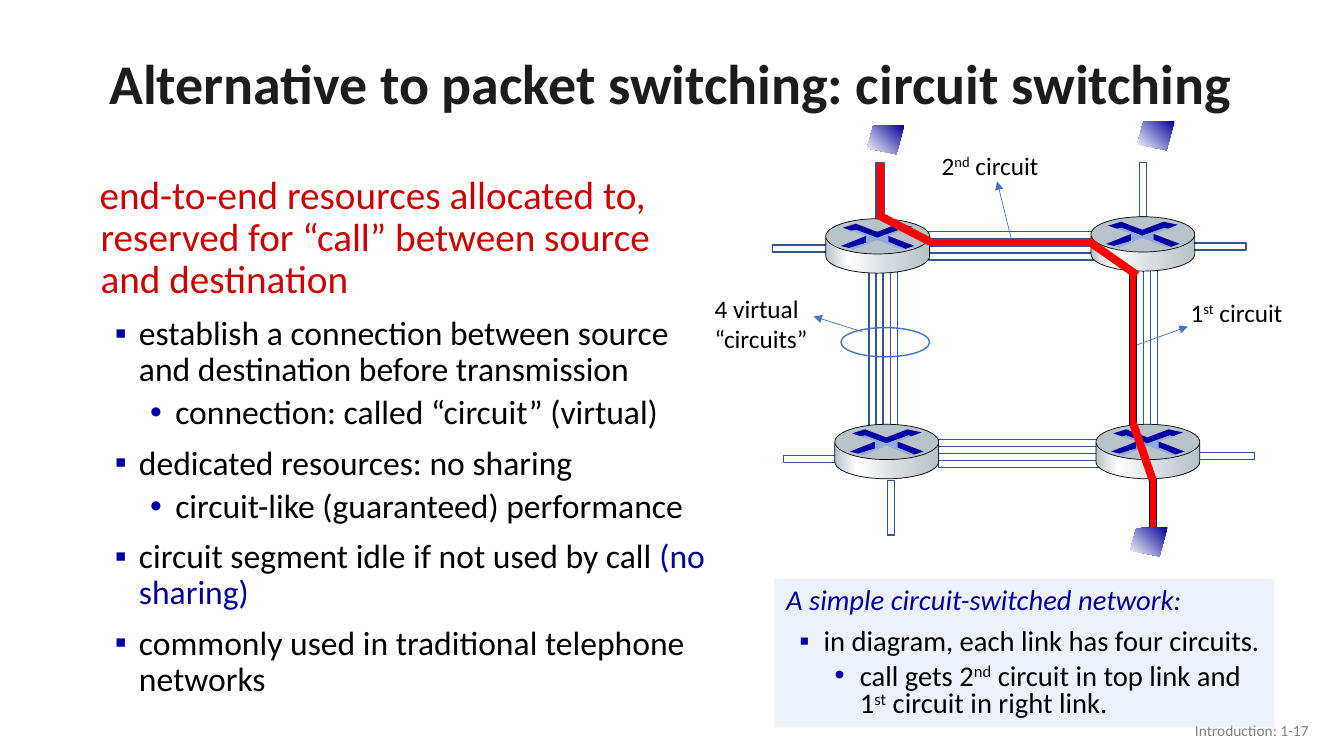
from math import cos, pi, sin

from lxml.etree import SubElement
from pptx import Presentation
from pptx.dml.color import RGBColor
from pptx.enum.shapes import MSO_CONNECTOR, MSO_SHAPE
from pptx.enum.text import MSO_ANCHOR, PP_ALIGN
from pptx.oxml import parse_xml
from pptx.oxml.ns import nsdecls, qn
from pptx.util import Cm, Pt

FONT = "Calibri"
RED, NAVY, BLACK = "FF0000", "0000A3", "000000"
LINK, ACCENT = "325491", "4472C4"
SQUARE, DOT = ("▪", NAVY), ("•", "0000A8")
PITCH = 0.07

ROUTER_W, ROUTER_H = 1.03, 0.35
ROUTERS = [(8.19, 2.17), (8.28, 4.21), (10.87, 4.21), (10.82, 2.15)]
ROUTER_STOPS = [(0, "B8C2C9"), (21, "FFFFFF"), (60, "D6DCE0"), (100, "B8C2C9")]
SIDE = [(0, 0.19)] + [
    (ROUTER_W / 2 * (1 - cos(pi * i / 24)), 0.37 + 0.17 * sin(pi * i / 24))
    for i in range(25)] + [(ROUTER_W, 0.19)]
CROSS = [
    (NAVY, [(0.72, 0.05), (0.86, 0.08), (0.76, 0.12), (0.73, 0.11), (0.51, 0.19),
            (0.3, 0.11), (0.26, 0.12), (0.17, 0.09), (0.3, 0.05), (0.51, 0.13)]),
    (NAVY, [(0.62, 0.17), (0.88, 0.27), (0.79, 0.3), (0.62, 0.23)]),
    ("0000A8", [(0.4, 0.17), (0.4, 0.24), (0.23, 0.29), (0.15, 0.27)]),
    ("8FAADC", [(0.26, 0.12), (0.3, 0.11), (0.51, 0.19), (0.73, 0.11), (0.76, 0.12),
                (0.62, 0.17), (0.62, 0.23), (0.79, 0.3), (0.74, 0.3), (0.51, 0.21),
                (0.27, 0.31), (0.24, 0.29), (0.4, 0.24), (0.4, 0.17)]),
]
HOSTS = [(11.28, 1.2), (11.21, 5.23), (8.6, 1.24)]
HOST = [(0.37, 0), (0.06, 0.01), (0, 0.23), (0.29, 0.29)]
H_STUBS = [(7.77, 4.52), (11.9, 4.49), (7.66, 2.43), (11.82, 2.41)]
V_STUBS = [(8.8, 4.77), (11.3, 1.61)]


def inch(v):
    return Cm(2.54 * v)


def rgb(hex_):
    return RGBColor.from_string(hex_)


def paint(shape, fill=None, line=None, width=1):
    shape.shadow.inherit = False
    if fill:
        shape.fill.solid()
        shape.fill.fore_color.rgb = rgb(fill)
    else:
        shape.fill.background()
    if line:
        shape.line.color.rgb = rgb(line)
        shape.line.width = Pt(width)
    else:
        shape.line.fill.background()
    return shape


def paint_gradient(shape, stops, angle):
    shape.fill.gradient()
    gs = "".join(f'<a:gs pos="{pos * 1000}"><a:srgbClr val="{c}"/></a:gs>'
                 for pos, c in stops)
    spPr = shape._element.spPr
    spPr.replace(spPr.find(qn("a:gradFill")), parse_xml(
        f'<a:gradFill {nsdecls("a")} rotWithShape="1"><a:gsLst>{gs}</a:gsLst>'
        f'<a:lin ang="{angle * 60000}" scaled="0"/></a:gradFill>'))


def add_preset(s, kind, x, y, w, h, rot=0, **look):
    shape = s.shapes.add_shape(kind, inch(x), inch(y), inch(w), inch(h))
    shape.rotation = rot
    return paint(shape, **look)


def add_bar(s, x, y, w, h, fill=None, line=LINK, rot=0):
    return add_preset(s, MSO_SHAPE.RECTANGLE, x, y, w, h, rot, fill=fill, line=line)


def add_outline(s, x, y, points, **look):
    pts = [(inch(x + dx), inch(y + dy)) for dx, dy in points]
    builder = s.shapes.build_freeform(*pts[0])
    builder.add_line_segments(pts[1:], close=True)
    return paint(builder.convert_to_shape(), **look)


def add_router(s, x, y):
    side = add_outline(s, x, y, SIDE, line=BLACK, width=0.5)
    paint_gradient(side, ROUTER_STOPS, 0)
    add_preset(s, MSO_SHAPE.OVAL, x, y, ROUTER_W, ROUTER_H,
               fill="B8C2C9", line=BLACK, width=0.5)
    for color, points in CROSS:
        add_outline(s, x, y, points, fill=color)


def add_host(s, x, y):
    paint_gradient(add_outline(s, x, y, HOST), [(0, "000099"), (100, "FFFFFF")], 135)


def add_arrow(s, x1, y1, x2, y2):
    c = s.shapes.add_connector(MSO_CONNECTOR.STRAIGHT,
                               inch(x1), inch(y1), inch(x2), inch(y2))
    c.line.color.rgb = rgb(ACCENT)
    c.line.width = Pt(0.5)
    SubElement(c.line._get_or_add_ln(), qn("a:tailEnd"), type="triangle")
    SubElement(c._element.spPr, qn("a:effectLst"))


def add_run(p, text, size=18, color=BLACK, bold=False, italic=False, sup=False):
    r = p.add_run()
    r.text = text
    f = r.font
    f.name, f.size, f.bold, f.italic = FONT, Pt(size), bold, italic
    f.color.rgb = rgb(color)
    if sup:
        r._r.get_or_add_rPr().set("baseline", "30000")


def add_ordinal(p, number, suffix, rest, **fmt):
    add_run(p, number, **fmt)
    add_run(p, suffix, sup=True, **fmt)
    add_run(p, rest, **fmt)


def add_text_box(s, x, y, w, h, anchor=MSO_ANCHOR.TOP):
    tf = s.shapes.add_textbox(inch(x), inch(y), inch(w), inch(h)).text_frame
    tf.word_wrap = True
    tf.vertical_anchor = anchor
    return tf


def add_paragraph(tf, left, hanging, spacing, before=0, bullet=None):
    p = tf.add_paragraph() if before else tf.paragraphs[0]
    p.line_spacing = spacing
    p.space_before = Pt(before)
    pPr = p._p.get_or_add_pPr()
    pPr.set("marL", str(inch(left)))
    pPr.set("indent", str(-inch(hanging)))
    if bullet:
        char, color = bullet
        SubElement(SubElement(pPr, qn("a:buClr")), qn("a:srgbClr"), val=color)
        SubElement(pPr, qn("a:buFont"), typeface="Arial")
        SubElement(pPr, qn("a:buChar"), char=char)
    return p


def add_item(tf, spacing):
    return add_paragraph(tf, 0.39, 0.24, spacing, 10, SQUARE)


def add_subitem(tf, spacing):
    return add_paragraph(tf, 0.75, 0.25, spacing, 5, DOT)


def add_body(s):
    tf = add_text_box(s, 0.89, 1.69, 6.23, 5.5)
    add_run(add_paragraph(tf, 0.01, 0.01, 0.9),
            "end-to-end resources allocated to, reserved for “call” between source "
            "and destination", size=28, color="CC0000")
    for add, text, note in [
        (add_item, "establish a connection between source and destination before "
                   "transmission", ""),
        (add_subitem, "connection: called “circuit” (virtual)", ""),
        (add_item, "dedicated resources: no sharing", ""),
        (add_subitem, "circuit-like (guaranteed) performance", ""),
        (add_item, "circuit segment idle if not used by call ", "(no sharing)"),
        (add_item, "commonly used in traditional telephone networks", ""),
    ]:
        p = add(tf, 0.9)
        add_run(p, text, size=24)
        if note:
            add_run(p, note, size=24, color="000099")


def add_network(s):
    for i in range(4):
        add_bar(s, 9.21, 2.3 + i * PITCH, 1.64, PITCH, RED if i == 1 else None)
        add_bar(s, 8.62 + i * PITCH, 2.64, PITCH, 1.58)
        add_bar(s, 9.31, 4.36 + i * PITCH, 1.62, PITCH)
    for i in (3, 2, 1):
        add_bar(s, 11.2 + i * PITCH, 2.65, PITCH, 1.58)
    add_bar(s, 11.2, 2.65, PITCH, 1.58, RED, BLACK)
    for x, y in H_STUBS:
        add_bar(s, x, y, 0.54, PITCH)
    for x, y in V_STUBS:
        add_bar(s, x, y, PITCH, 0.54)
    add_bar(s, 8.69, 1.61, 0.08, 0.56, RED)
    add_bar(s, 11.4, 4.75, PITCH, 0.54, RED, BLACK)
    for x, y in HOSTS:
        add_host(s, x, y)
    for x, y in ROUTERS:
        add_router(s, x, y)
    for x, y, rot in [(8.68, 2.23, 27.2), (10.74, 2.52, 35), (11.04, 4.44, 70.9)]:
        add_bar(s, x, y, 0.59, 0.08, RED, None, rot)


def add_labels(s):
    add_preset(s, MSO_SHAPE.OVAL, 8.34, 3.25, 0.88, 0.29, line=ACCENT)
    add_run(add_text_box(s, 6.99, 2.86, 1.38, 0.71).paragraphs[0],
            "4 virtual “circuits”")
    for x, y, number, suffix in [(9.24, 1.44, "2", "nd"), (11.71, 2.9, "1", "st")]:
        add_ordinal(add_text_box(s, x, y, 1.38, 0.4).paragraphs[0],
                    number, suffix, " circuit")
    for ends in [(8.55, 3.29, 8.07, 3.14), (10.03, 2.37, 9.89, 1.8),
                 (11.28, 3.42, 11.78, 3.24)]:
        add_arrow(s, *ends)


def add_panel(s):
    panel = add_bar(s, 7.68, 5.74, 4.96, 1.48, "DAE3F3", None)
    color = panel._element.spPr.find(qn("a:solidFill"))[0]
    SubElement(color, qn("a:alpha"), val="47000")
    tf = add_text_box(s, 7.68, 5.79, 5, 1.43)
    add_run(add_paragraph(tf, 0.39, 0.37, 0.8), "A simple circuit-switched network:",
            size=20.4, color="000099", italic=True)
    add_run(add_item(tf, 0.8), "in diagram, each link has four circuits.", size=20.4)
    p = add_subitem(tf, 0.8)
    add_ordinal(p, "call gets 2", "nd", " circuit in top link and ", size=20.4)
    add_ordinal(p, "1", "st", " circuit in right link.", size=20.4)


def main():
    prs = Presentation()
    prs.slide_width, prs.slide_height = inch(13.33), inch(7.5)
    s = prs.slides.add_slide(prs.slide_layouts[5])
    title = s.shapes.title
    title.left, title.top, title.width, title.height = map(inch, (0.9, 0.37, 11.5, 0.98))
    tf = title.text_frame
    tf.vertical_anchor = MSO_ANCHOR.MIDDLE
    p = tf.paragraphs[0]
    p.alignment, p.line_spacing = PP_ALIGN.CENTER, 0.9
    add_run(p, "Alternative to packet switching: circuit switching",
            size=40, color="1C1C1C", bold=True)
    add_body(s)
    p = add_text_box(s, 10.08, 7.05, 3, 0.4, MSO_ANCHOR.MIDDLE).paragraphs[0]
    p.alignment = PP_ALIGN.RIGHT
    add_run(p, "Introduction: 1-17", size=11, color="808080")
    add_network(s)
    add_labels(s)
    add_panel(s)
    prs.save("out.pptx")


if __name__ == "__main__":
    main()
